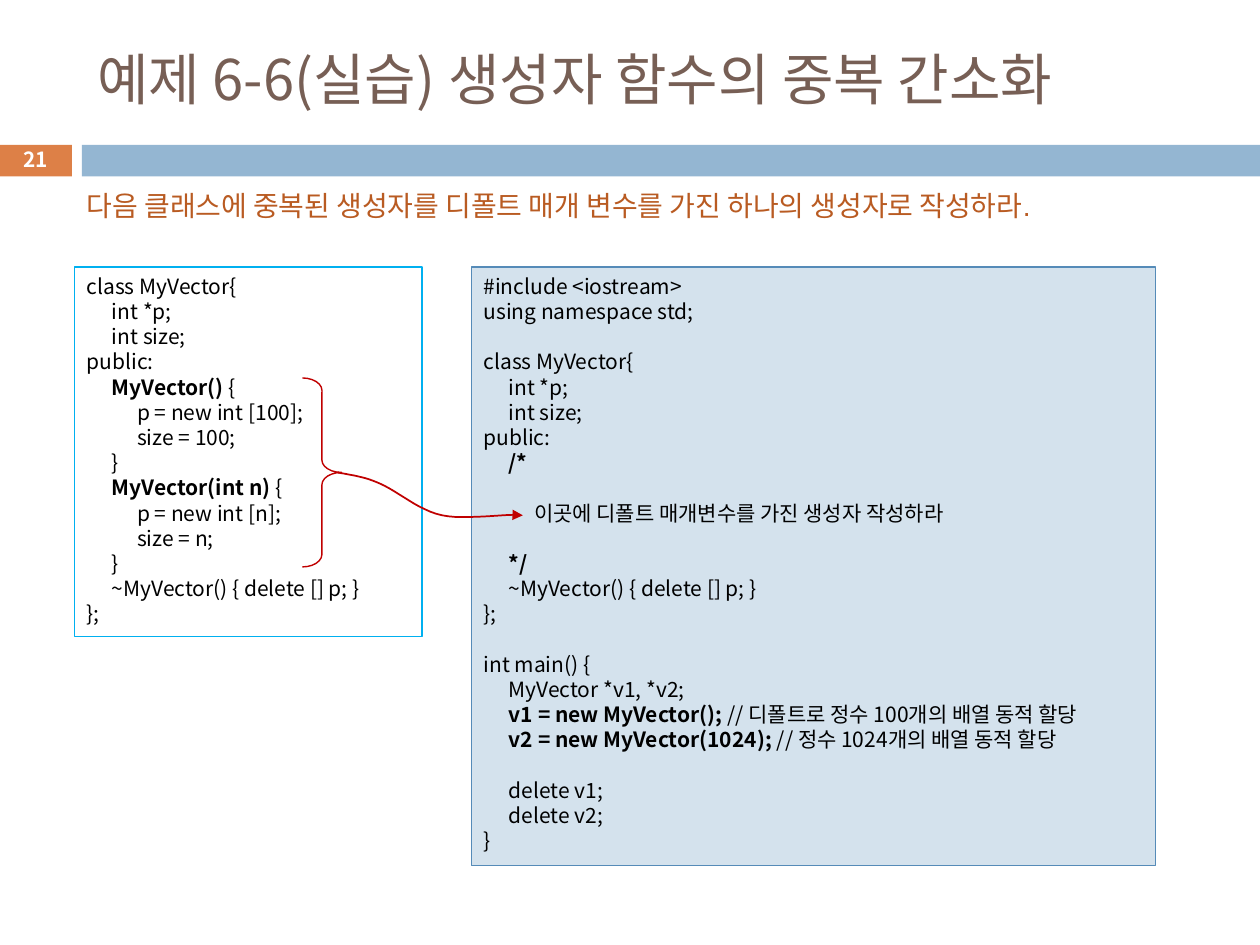
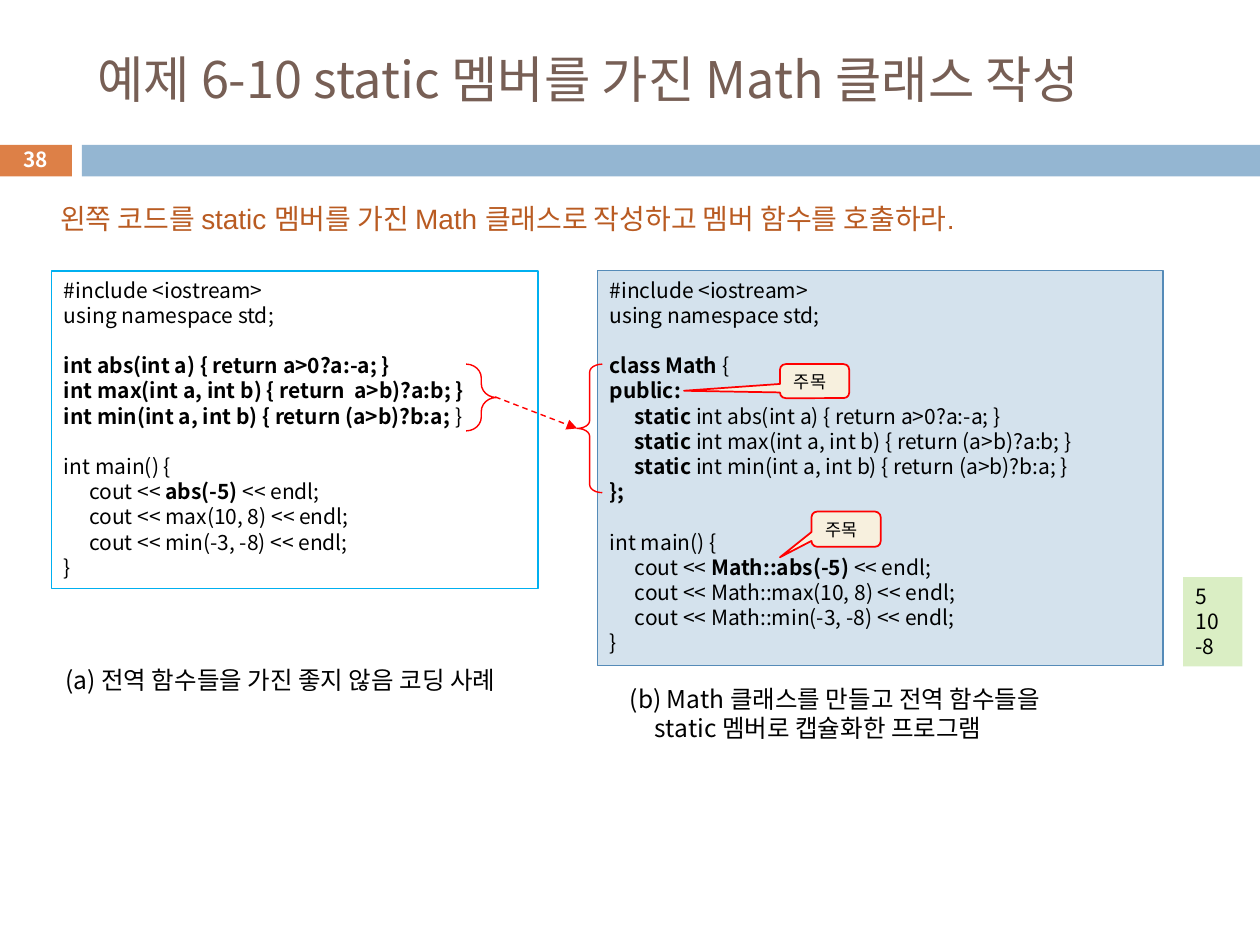
"""Build two C++ lecture slides: default parameters and static members."""
from dataclasses import dataclass

from pptx import Presentation
from pptx.dml.color import RGBColor
from pptx.enum.dml import MSO_LINE
from pptx.enum.shapes import MSO_CONNECTOR, MSO_SHAPE
from pptx.enum.text import MSO_ANCHOR, MSO_AUTO_SIZE, PP_ALIGN
from pptx.oxml.xmlchemy import OxmlElement
from pptx.util import Inches, Pt


@dataclass(frozen=True)
class Theme:
    font: str = "Noto Sans CJK KR"
    task_font: str = "Arial"
    title: str = "775F55"
    task: str = "B95B22"
    text: str = "000000"
    number: str = "FFFFFF"
    number_band: str = "DD8047"
    band: str = "94B6D2"
    before_line: str = "00B0F0"
    after_fill: str = "D4E2ED"
    after_line: str = "558BB8"
    dark_red: str = "C00000"
    red: str = "FF0000"
    callout: str = "F7F0DE"
    output: str = "DAEEC4"
    task_size: float = 16
    code_size: float = 12
    caption_size: float = 14
    callout_size: float = 10
    number_size: float = 11.9
    leading: float = 1.2
    tab: float = 0.2


theme = Theme()


def write(shape, text, size, color=theme.text, font=theme.font,
          anchor=MSO_ANCHOR.TOP, align=PP_ALIGN.LEFT, bold=False):
    """Write lines run by run; bars switch bold on and off."""
    frame = shape.text_frame
    frame.word_wrap = True
    frame.auto_size = MSO_AUTO_SIZE.NONE
    frame.vertical_anchor = anchor
    for index, line in enumerate(text.split("\n")):
        paragraph = frame.paragraphs[0] if index == 0 else frame.add_paragraph()
        if "\t" in line:
            tabs = OxmlElement("a:tabLst")
            for step in (1, 2):
                stop = OxmlElement("a:tab")
                stop.set("pos", str(Inches(theme.tab * step)))
                stop.set("algn", "l")
                tabs.append(stop)
            paragraph._p.get_or_add_pPr().append(tabs)
        paragraph.alignment = align
        paragraph.line_spacing = Pt(size * theme.leading)
        for part, piece in enumerate(line.split("|")):
            if not piece:
                continue
            run = paragraph.add_run()
            run.text = piece
            run.font.size = Pt(size)
            run.font.bold = bold or part % 2 == 1
            run.font.color.rgb = RGBColor.from_string(color)
            run.font.name = font
            east_asian = OxmlElement("a:ea")
            east_asian.set("typeface", theme.font)
            run._r.rPr.append(east_asian)


def paint(shape, fill=None, line=None, width=0.75, arrow=False):
    """Set fill and outline, drop the shadow and add an arrowhead if asked."""
    if hasattr(shape, "fill"):
        shape.shadow.inherit = False
        if fill:
            shape.fill.solid()
            shape.fill.fore_color.rgb = RGBColor.from_string(fill)
        else:
            shape.fill.background()
    if line:
        shape.line.color.rgb = RGBColor.from_string(line)
        shape.line.width = Pt(width)
    else:
        shape.line.fill.background()
    if arrow:
        head = OxmlElement("a:tailEnd")
        head.set("type", "triangle")
        shape.line._get_or_add_ln().append(head)


prs = Presentation()
prs.slide_width, prs.slide_height = Inches(10), Inches(7.5)

vector_before = """class MyVector{
\tint *p;
\tint size;
public:
\t|MyVector() |{
\t\tp = new int [100];
\t\tsize = 100;
\t}
\t|MyVector(int n) |{
\t\tp = new int [n];
\t\tsize = n;
\t}
\t~MyVector() { delete [] p; }
};"""

vector_after = """#include <iostream>
using namespace std;

class MyVector{
\tint *p;
\tint size;
public:
|\t/*

|\t\t|이곳에 디폴트 매개변수를 가진 생성자 작성하라

|\t*/
\t~MyVector() { delete [] p; }
};

int main() {
\tMyVector *v1, *v2;
\t|v1 = new MyVector(); |// 디폴트로 정수 100개의 배열 동적 할당
\t|v2 = new MyVector(1024); |// 정수 1024개의 배열 동적 할당

\tdelete v1;
\tdelete v2;
}"""

math_before = """#include <iostream>
using namespace std;

|int abs(int a) { return a>0?a:-a; }
|int max(int a, int b) { return  a>b)?a:b; }
|int min(int a, int b) { return (a>b)?b:a; |}

int main() {
\tcout << |abs(-5) |<< endl;
\tcout << max(10, 8) << endl;
\tcout << min(-3, -8) << endl;
}"""

math_after = """#include <iostream>
using namespace std;

|class Math |{
|public:
\t|static |int abs(int a) { return a>0?a:-a; }
\t|static |int max(int a, int b) { return (a>b)?a:b; }
\t|static |int min(int a, int b) { return (a>b)?b:a; }
|};

int main() {
\tcout << |Math::abs(-5) |<< endl;
\tcout << Math::max(10, 8) << endl;
\tcout << Math::min(-3, -8) << endl;
}"""

examples = [
    dict(number="21", title="예제 6-6(실습) 생성자 함수의 중복 간소화", title_size=32,
         task="다음 클래스에 중복된 생성자를 디폴트 매개 변수를 가진 하나의 생성자로 작성하라.",
         task_at=(0.59, 1.45, 8.58, 0.37),
         before=vector_before, before_at=(0.59, 2.12, 2.76, 2.93),
         after=vector_after, after_at=(3.74, 2.12, 5.43, 4.75),
         brace_color=theme.dark_red, braces=[((2.4, 3, 0.31, 1.5), 0.318, 0)]),
    dict(number="38", title="예제 6-10 static 멤버를 가진 Math 클래스 작성", title_size=28.8,
         task="왼쪽 코드를 static 멤버를 가진 Math 클래스로 작성하고 멤버 함수를 호출하라.",
         task_at=(0.38, 1.55, 9.21, 0.37),
         before=math_before, before_at=(0.41, 2.15, 3.86, 2.52),
         after=math_after, after_at=(4.74, 2.15, 4.49, 3.13),
         brace_color=theme.red, braces=[((3.7, 2.89, 0.24, 0.53), 0.459, 0),
                                        ((4.58, 2.89, 0.2, 1.02), 0.314, 180)]),
]

slides = []
for example in examples:
    slide = prs.slides.add_slide(prs.slide_layouts[5])
    slides.append(slide)
    shapes = slide.shapes

    for left, width, color in ((-0.01, 0.58, theme.number_band), (0.65, 9.35, theme.band)):
        band = shapes.add_shape(MSO_SHAPE.RECTANGLE, Inches(left), Inches(1.15),
                                Inches(width), Inches(0.25))
        paint(band, color)

    title = shapes.title
    title.left, title.top, title.width, title.height = map(Inches, (0.67, 0.25, 8.92, 0.74))
    write(title, example["title"], example["title_size"], theme.title, anchor=MSO_ANCHOR.MIDDLE)

    number = shapes.add_textbox(*map(Inches, (-0.01, 1.13, 0.58, 0.27)))
    write(number, example["number"], theme.number_size, theme.number,
          anchor=MSO_ANCHOR.MIDDLE, align=PP_ALIGN.CENTER, bold=True)

    task = shapes.add_textbox(*map(Inches, example["task_at"]))
    write(task, example["task"], theme.task_size, theme.task, theme.task_font)

    for stage, fill, line in (("before", None, theme.before_line),
                              ("after", theme.after_fill, theme.after_line)):
        code = shapes.add_shape(MSO_SHAPE.RECTANGLE, *map(Inches, example[stage + "_at"]))
        paint(code, fill, line)
        write(code, example[stage], theme.code_size)

    for place, curl, turn in example["braces"]:
        brace = shapes.add_shape(MSO_SHAPE.RIGHT_BRACE, *map(Inches, place))
        brace.adjustments[0] = curl
        brace.rotation = turn
        paint(brace, line=example["brace_color"], width=0.79)

vector_slide, math_slide = slides

bends = [
    ((2.68, 3.75), (2.78, 3.77), (2.89, 3.78), (3.02, 3.84)),
    ((3.02, 3.84), (3.16, 3.9), (3.32, 4.05), (3.51, 4.09)),
    ((3.51, 4.09), (3.69, 4.13), (4.07, 4.07), (4.15, 4.09)),
]
steps = 12
curve = []
for bend in bends:
    for step in range(1, steps + 1):
        t = step / steps
        weights = ((1 - t) ** 3, 3 * t * (1 - t) ** 2, 3 * t ** 2 * (1 - t), t ** 3)
        curve.append(tuple(1000 * sum(w * point[axis] for w, point in zip(weights, bend))
                           for axis in (0, 1)))
builder = vector_slide.shapes.build_freeform(2680, 3750, scale=Inches(1) / 1000)
builder.add_line_segments(curve, close=False)
paint(builder.convert_to_shape(), line=theme.dark_red, width=1, arrow=True)

move = math_slide.shapes.add_connector(MSO_CONNECTOR.STRAIGHT,
                                       *map(Inches, (3.93, 3.15, 4.58, 3.4)))
move.line.dash_style = MSO_LINE.DASH
paint(move, line=theme.red, width=0.79, arrow=True)
move._element.spPr.append(OxmlElement("a:effectLst"))

captions = [
    ("(a) 전역 함수들을 가진 좋지 않음 코딩 사례", (0.42, 5.23, 4.04, 0.34)),
    ("(b) Math 클래스를 만들고 전역 함수들을\n\tstatic 멤버로 캡슐화한 프로그램", (4.9, 5.38, 4.17, 0.57)),
]
for words, place in captions:
    caption = math_slide.shapes.add_textbox(*map(Inches, place))
    write(caption, words, theme.caption_size)

for place, pointer in (((6.44, 4.06, 0.55, 0.28), (-0.955, 0.797)),
                       ((6.19, 2.89, 0.55, 0.27), (-1.886, 0.284))):
    notice = math_slide.shapes.add_shape(MSO_SHAPE.ROUNDED_RECTANGULAR_CALLOUT,
                                         *map(Inches, place))
    notice.adjustments[0], notice.adjustments[1] = pointer
    paint(notice, theme.callout, theme.red, 1)
    write(notice, "주목", theme.callout_size, anchor=MSO_ANCHOR.MIDDLE)

output = math_slide.shapes.add_shape(MSO_SHAPE.RECTANGLE, *map(Inches, (9.39, 4.58, 0.47, 0.71)))
paint(output, theme.output)
write(output, "5\n10\n-8", theme.code_size)

prs.save("out.pptx")
